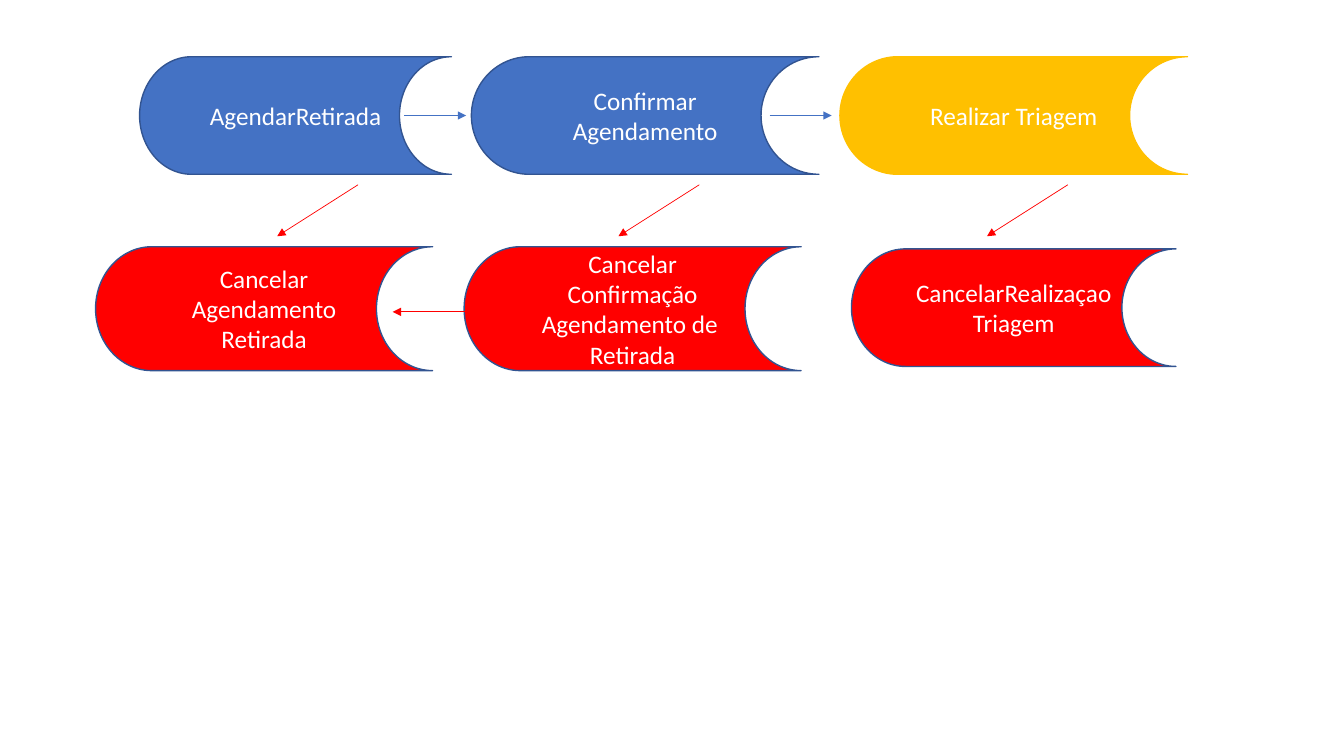
"""Builds a slide showing the scheduling steps and the cancellation of each one."""
import lxml.etree
import pptx
import pptx.dml.color
import pptx.enum.shapes
import pptx.enum.text
import pptx.oxml.ns
import pptx.util

PX = 9525
COLORS = {
    "step": "4472C4",
    "outline": "325491",
    "cancel": "FF0000",
    "triage": "FFC000",
    "text": "FFFFFF",
}


def color(name):
    return pptx.dml.color.RGBColor.from_string(COLORS[name])


def write_text(shape, text, size=18, font="Calibri", color_name="text"):
    frame = shape.text_frame
    frame.word_wrap = True
    frame.vertical_anchor = pptx.enum.text.MSO_ANCHOR.MIDDLE
    paragraph = frame.paragraphs[0]
    paragraph.text = text
    paragraph.alignment = pptx.enum.text.PP_ALIGN.CENTER
    for run in paragraph.runs:
        run.font.size = pptx.util.Pt(size)
        run.font.name = font
        run.font.color.rgb = color(color_name)


presentation = pptx.Presentation()
presentation.slide_width = 1280 * PX
presentation.slide_height = 720 * PX
slide = presentation.slides.add_slide(presentation.slide_layouts[6])

steps = [
    ("AgendarRetirada", 133, 54, 297, 112, "step", "outline"),
    ("Confirmar Agendamento", 449, 54, 331, 112, "step", "outline"),
    ("Realizar Triagem", 800, 54, 331, 112, "triage", "triage"),
    ("Cancelar Agendamento\nRetirada", 91, 235, 321, 118, "cancel", "outline"),
    ("Cancelar Confirmação Agendamento de \nRetirada", 442, 235, 321, 118, "cancel", "outline"),
    ("CancelarRealizaçaoTriagem", 811, 237, 309, 112, "cancel", "outline"),
]
for text, left, top, width, height, fill, outline in steps:
    shape = slide.shapes.add_shape(
        pptx.enum.shapes.MSO_SHAPE.FLOWCHART_STORED_DATA,
        left * PX, top * PX, width * PX, height * PX,
    )
    shape.shadow.inherit = False
    shape.fill.solid()
    shape.fill.fore_color.rgb = color(fill)
    shape.line.color.rgb = color(outline)
    shape.line.width = pptx.util.Pt(1)
    write_text(shape, text)

arrows = [(left, 110, left + 59, 110, "step") for left in (385, 733)]
arrows += [(right, 176, right - 77, 225, "cancel") for right in (341, 666, 1017)]
arrows.append((457, 297, 374, 297, "cancel"))
for start_x, start_y, end_x, end_y, line_color in arrows:
    arrow = slide.shapes.add_connector(
        pptx.enum.shapes.MSO_CONNECTOR.STRAIGHT,
        start_x * PX, start_y * PX, end_x * PX, end_y * PX,
    )
    arrow.line.color.rgb = color(line_color)
    arrow.line.width = pptx.util.Pt(0.5)
    line = arrow.line._get_or_add_ln()
    lxml.etree.SubElement(line, pptx.oxml.ns.qn("a:tailEnd"), type="triangle")
    lxml.etree.SubElement(arrow._element.spPr, pptx.oxml.ns.qn("a:effectLst"))

presentation.save("out.pptx")
